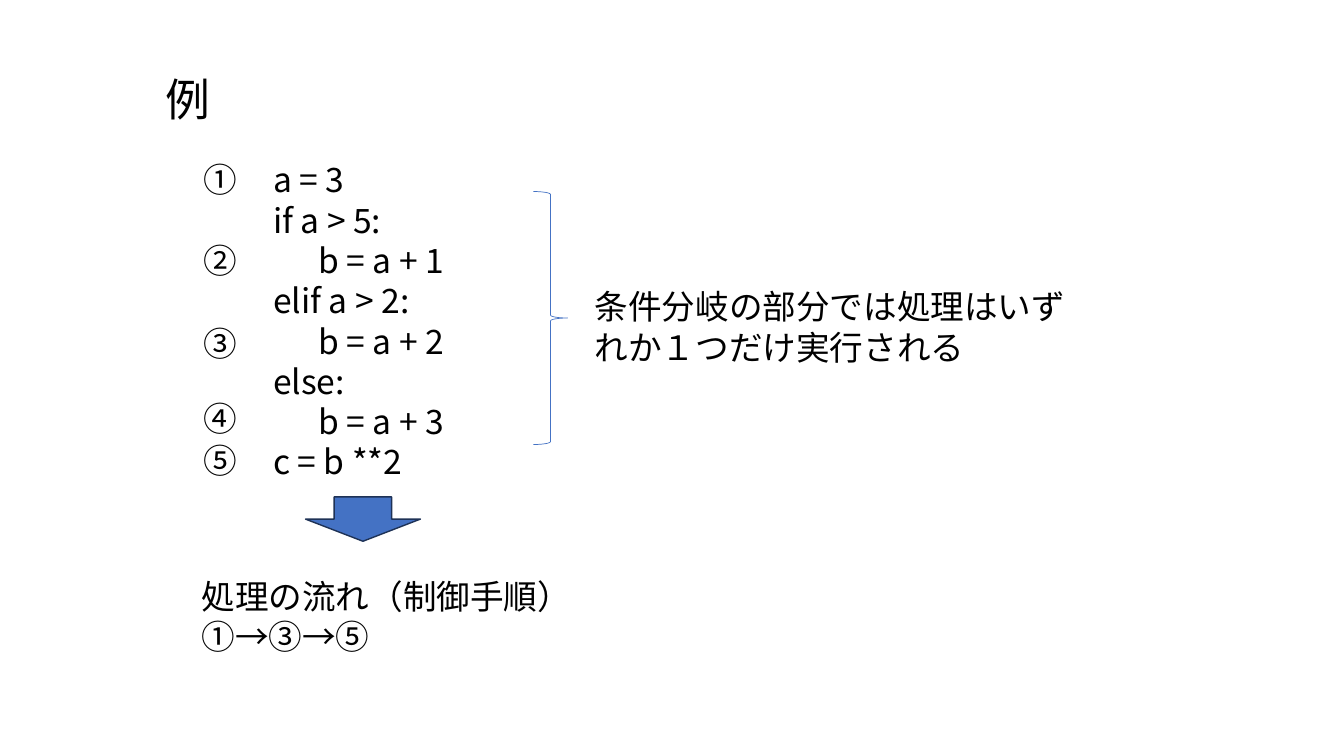
from lxml.etree import SubElement
from pptx import Presentation
from pptx.dml.color import RGBColor
from pptx.enum.shapes import MSO_SHAPE
from pptx.oxml.ns import qn
from pptx.util import Inches, Pt

FONT = "Noto Sans CJK JP"
BLACK = RGBColor(0, 0, 0)
BLUE = RGBColor(0x44, 0x72, 0xC4)
NAVY = RGBColor(0x1E, 0x32, 0x56)
INDENT = Inches(0.45)

CODE = [
    (0, "a = 3"),
    (0, "if a > 5:"),
    (1, "b = a + 1"),
    (0, "elif a > 2:"),
    (1, "b = a + 2"),
    (0, "else:"),
    (1, "b = a + 3"),
    (0, "c = b **2"),
]
STEPS = [("①", 1.53), ("②", 2.33), ("③", 3.15), ("④", 3.9), ("⑤", 4.32)]


def add_text(slide, box, lines, size=24):
    frame = slide.shapes.add_textbox(*map(Inches, box)).text_frame
    frame.word_wrap = True
    for i, (level, text) in enumerate(lines):
        para = frame.add_paragraph() if i else frame.paragraphs[0]
        para.text = text
        font = para.font
        font.name = FONT
        font.size = Pt(size)
        font.color.rgb = BLACK
        props = para._p.get_or_add_pPr()
        props.set("marL", str(level * INDENT))
        SubElement(props.find(qn("a:defRPr")), qn("a:ea"), typeface=FONT)


def add_shape(slide, kind, box, line, width, fill=None):
    shape = slide.shapes.add_shape(kind, *map(Inches, box))
    shape.shadow.inherit = False
    shape.line.color.rgb = line
    shape.line.width = Pt(width)
    if fill is None:
        shape.fill.background()
    else:
        shape.fill.solid()
        shape.fill.fore_color.rgb = fill


def main():
    deck = Presentation()
    deck.slide_width = Inches(13.33)
    deck.slide_height = Inches(7.5)
    slide = deck.slides.add_slide(deck.slide_layouts[6])

    add_text(slide, (1.54, 0.66, 0.67, 0.64), [(0, "例")], 32)
    add_text(slide, (2.61, 1.53, 2.49, 4.14), CODE)
    for mark, top in STEPS:
        add_text(slide, (1.92, top, 0.54, 0.5), [(0, mark)])
    add_text(slide, (1.9, 5.66, 3.9, 0.91),
             [(0, "処理の流れ（制御手順）"), (0, "①→③→⑤")])
    add_shape(slide, MSO_SHAPE.RIGHT_BRACE, (5.29, 1.9, 0.34, 2.51), BLUE, 0.5)
    add_text(slide, (5.8, 2.79, 5.14, 0.91),
             [(0, "条件分岐の部分では処理はいずれか１つだけ実行される")])
    add_shape(slide, MSO_SHAPE.DOWN_ARROW, (3.03, 4.93, 1.14, 0.44), NAVY, 1, BLUE)
    deck.save("out.pptx")


if __name__ == "__main__":
    main()
